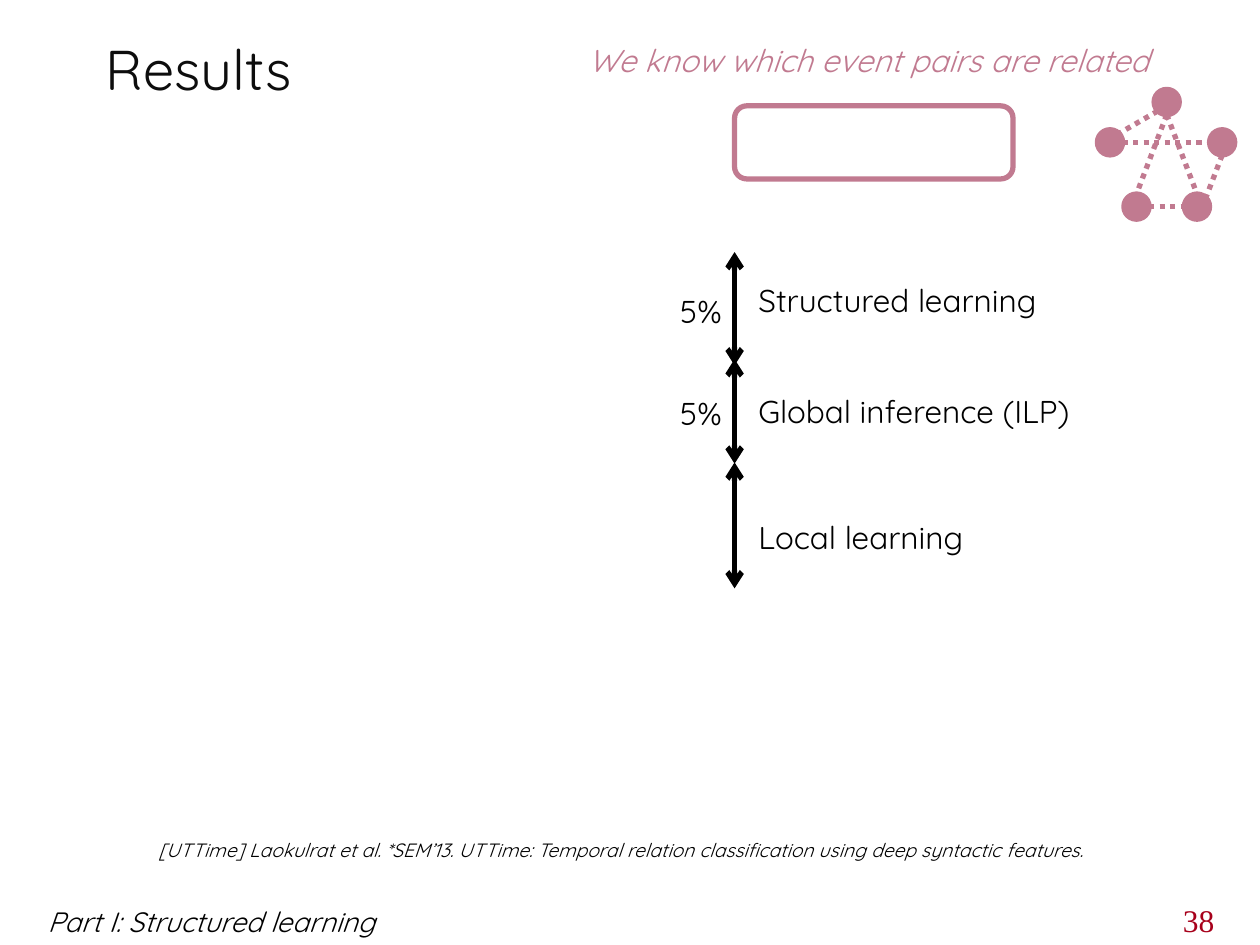
from dataclasses import dataclass
from math import cos, pi, sin

from pptx import Presentation
from pptx.dml.color import RGBColor
from pptx.enum.dml import MSO_LINE
from pptx.enum.shapes import MSO_CONNECTOR, MSO_SHAPE
from pptx.enum.text import MSO_ANCHOR, PP_ALIGN
from pptx.oxml.ns import qn
from pptx.util import Inches, Pt
from lxml.etree import SubElement


@dataclass(frozen=True)
class Theme:
    black: RGBColor = RGBColor.from_string("000000")
    title_color: RGBColor = RGBColor.from_string("0D0D0D")
    accent: RGBColor = RGBColor.from_string("C17A90")
    page_color: RGBColor = RGBColor.from_string("A7001B")
    font: str = "Quicksand"
    page_font: str = "Times New Roman"
    title_size: Pt = Pt(32)
    label_size: Pt = Pt(18)
    footer_size: Pt = Pt(16)
    citation_size: Pt = Pt(11)
    line_width: Pt = Pt(3)


THEME = Theme()


def write_text(shape, text, color=THEME.black, **font_format):
    paragraph = shape.text_frame.paragraphs[0]
    paragraph.alignment = PP_ALIGN.LEFT
    run = paragraph.add_run()
    run.text = text
    run.font.color.rgb = color
    values = {"name": THEME.font, "size": THEME.label_size, **font_format}
    for name, value in values.items():
        setattr(run.font, name, value)


def add_label(slide, box, text, wrap=False, **text_format):
    shape = slide.shapes.add_textbox(*map(Inches, box))
    shape.text_frame.word_wrap = wrap
    write_text(shape, text, **text_format)


def add_line(slide, start, end, color, dash=None, arrows=False):
    connector = slide.shapes.add_connector(
        MSO_CONNECTOR.STRAIGHT, *map(Inches, (*start, *end)))
    connector.line.color.rgb = color
    connector.line.width = THEME.line_width
    if dash:
        connector.line.dash_style = dash
    properties = connector._element.spPr
    if arrows:
        outline = properties.find(qn("a:ln"))
        for tag in ("a:headEnd", "a:tailEnd"):
            SubElement(outline, qn(tag), type="arrow")
    SubElement(properties, qn("a:effectLst"))


def add_outlined(slide, kind, box, fill=None):
    shape = slide.shapes.add_shape(kind, *map(Inches, box))
    shape.shadow.inherit = False
    shape.line.color.rgb = THEME.accent
    shape.line.width = THEME.line_width
    if fill is None:
        shape.fill.background()
    else:
        shape.fill.solid()
        shape.fill.fore_color.rgb = fill


def add_title(slide, box):
    title = slide.shapes.title
    for name, value in zip(("left", "top", "width", "height"), box):
        setattr(title, name, Inches(value))
    title.text_frame.vertical_anchor = MSO_ANCHOR.MIDDLE
    write_text(title, "Results", THEME.title_color, size=THEME.title_size)


def add_gain_scale(slide, box):
    """Stacked double arrows, each with its method and gain."""
    left, top, width, _ = box
    # start and end of the arrow, top of the method label, top of the gain label
    steps = [
        ("Structured learning", 0, 0.9, 0.18, 0.27),
        ("Global inference (ILP)", 0.85, 1.68, 1.06, 1.08),
        ("Local learning", 1.67, 2.67, 2.06, None),
    ]
    axis = left + 0.53
    for method, start, end, method_top, gain_top in steps:
        add_line(slide, (axis, top + end), (axis, top + start), THEME.black, arrows=True)
        add_label(slide, (axis + 0.09, top + method_top, width - 0.62, 0.4), method)
        if gain_top is not None:
            add_label(slide, (left, top + gain_top, 0.54, 0.4), "5%")


def add_event_graph(slide, box):
    """Event nodes joined by dotted relations."""
    left, top, _, _ = box
    size = 0.2
    radius = size / 2
    nodes = {
        "top": (0.45, 0), "left": (0, 0.32), "right": (0.89, 0.32),
        "lower left": (0.21, 0.83), "lower right": (0.69, 0.83),
    }
    for x, y in nodes.values():
        add_outlined(slide, MSO_SHAPE.OVAL, (left + x, top + y, size, size), THEME.accent)

    def rim_point(node, degrees):
        # Degrees run counterclockwise from the right side
        x, y = nodes[node]
        angle = degrees * pi / 180
        return (left + x + radius * (1 + cos(angle)),
                top + y + radius * (1 - sin(angle)))

    relations = [
        ("top", 225, "left", 45),
        ("top", 270, "lower left", 90),
        ("top", 270, "lower right", 90),
        ("right", 270, "lower right", 45),
        ("left", 0, "right", 180),
        ("lower left", 0, "lower right", 180),
    ]
    for first, first_angle, second, second_angle in relations:
        add_line(slide, rim_point(first, first_angle), rim_point(second, second_angle),
                 THEME.accent, dash=MSO_LINE.ROUND_DOT)


def add_known_pairs(slide, box):
    """Heading, empty frame and event graph."""
    left, top, width, _ = box
    add_label(slide, (left, top, width, 0.4), "We know which event pairs are related",
              wrap=True, color=THEME.accent, italic=True)
    add_outlined(slide, MSO_SHAPE.ROUNDED_RECTANGLE, (left + 1.26, top + 0.56, 2.21, 0.58))
    add_event_graph(slide, (left + 4.14, top + 0.43, 1.09, 1.03))


def add_footer(slide, box):
    left, top, _, _ = box
    add_label(slide, (left + 0.88, top, 7.85, 0.29),
              "[UTTime] Laokulrat et al. *SEM’13. UTTime: Temporal relation "
              "classiﬁcation using deep syntactic features.",
              size=THEME.citation_size, italic=True)
    add_label(slide, (left, top + 0.53, 3.5, 0.37), "Part I: Structured learning",
              wrap=True, size=THEME.footer_size, italic=True)
    add_label(slide, (left + 9.01, top + 0.5, 0.49, 0.4), "38",
              color=THEME.page_color, name=THEME.page_font)


def main():
    presentation = Presentation()
    presentation.slide_width = Inches(10)
    presentation.slide_height = Inches(7.5)
    slide = presentation.slides.add_slide(presentation.slide_layouts[5])
    add_title(slide, (0.74, 0.25, 8.5, 0.58))
    add_gain_scale(slide, (5.3, 2, 3.47, 2.67))
    add_known_pairs(slide, (4.57, 0.28, 4.96, 1.46))
    add_footer(slide, (0.28, 6.6, 9.5, 0.9))
    presentation.save("out.pptx")


if __name__ == "__main__":
    main()
